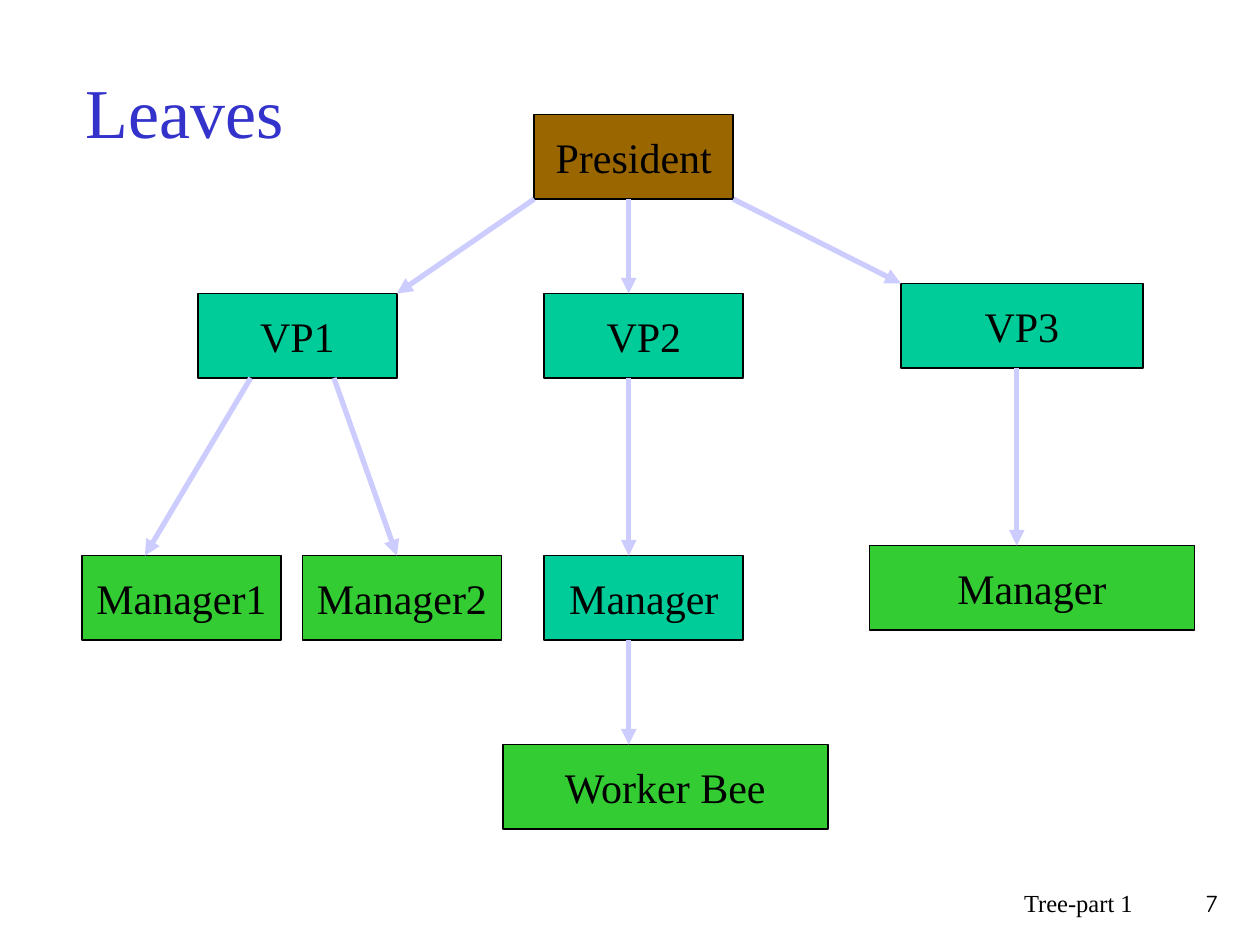
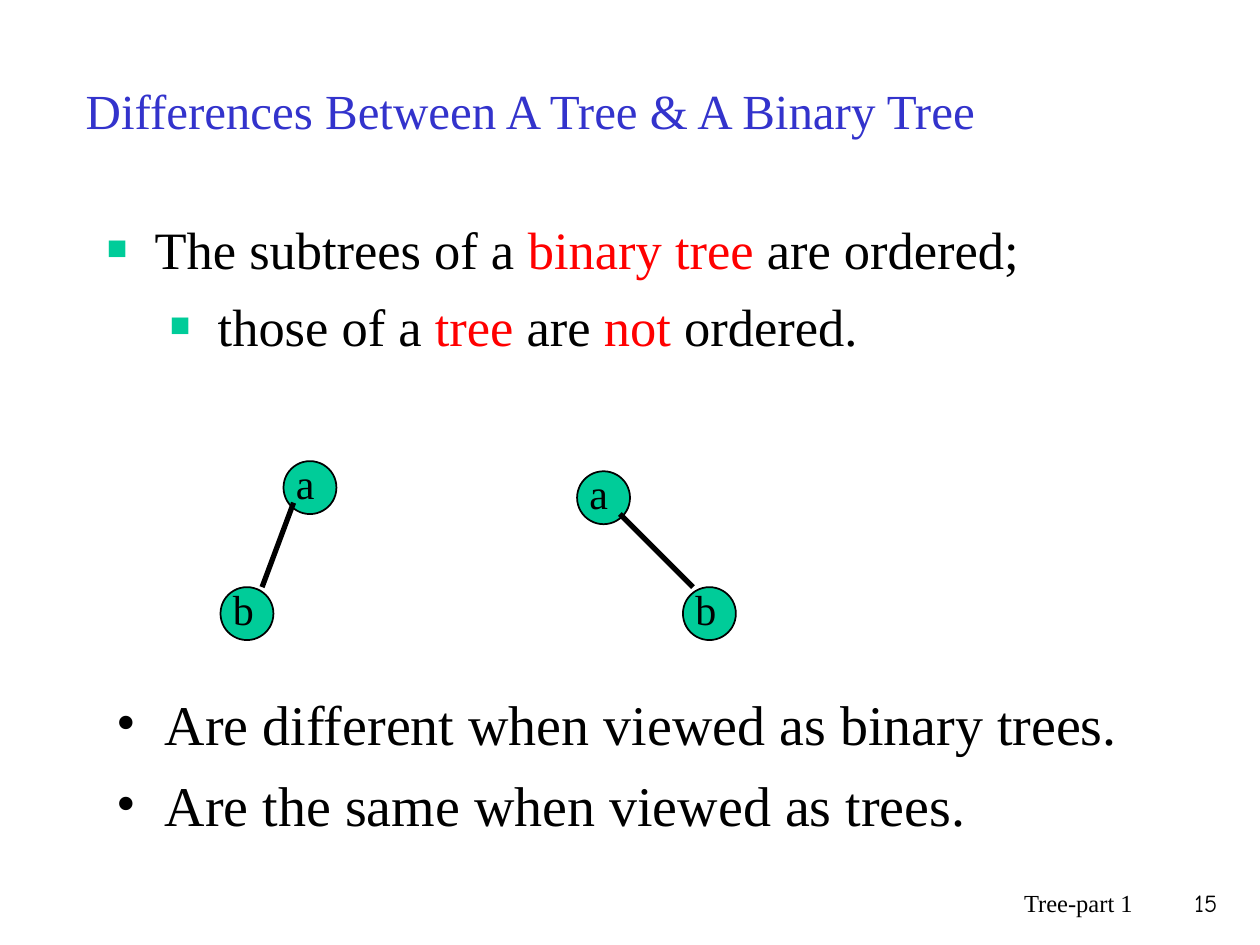
from dataclasses import dataclass
from typing import NamedTuple

from lxml.etree import SubElement
from pptx import Presentation
from pptx.dml.color import RGBColor
from pptx.enum.shapes import MSO_CONNECTOR, MSO_SHAPE
from pptx.enum.text import MSO_ANCHOR as Anchor, PP_ALIGN as Align
from pptx.oxml.ns import qn
from pptx.util import Inches, Pt

COLORS = {
    "title": "3333CC",
    "ink": "000000",
    "root": "996600",
    "branch": "00CC99",
    "leaf": "33CC33",
    "arrow": "CCCCFF",
    "emphasis": "FF0000",
}
SERIF = "Times New Roman"
NUMBER_FONT = "Comic Neue"
BOX_HEIGHT = 0.67
NODE_SIZE = 0.42
LABEL_RISE = 0.08
BULLET_INDENT = 0.38


@dataclass(frozen=True)
class Position:
    text: str
    left: float
    top: float
    color: str
    width: float = 1.58

    @property
    def bottom(self) -> float:
        return self.top + BOX_HEIGHT


class Report(NamedTuple):
    boss: str
    staff: str
    start_x: float
    end_x: float


class Span(NamedTuple):
    text: str
    color: str = "ink"


class Bullet(NamedTuple):
    spans: list[Span]
    level: int = 0


class BulletStyle(NamedTuple):
    char: str
    color: str
    percent: int
    size: float


class BinaryTree(NamedTuple):
    parent: tuple[float, float]
    child: tuple[float, float]
    edge_start: tuple[float, float]
    edge_end: tuple[float, float]


POSITIONS = {
    "president": Position("President", 4.24, 0.91, "root"),
    "vp1": Position("VP1", 1.57, 2.33, "branch"),
    "vp2": Position("VP2", 4.32, 2.33, "branch"),
    "vp3": Position("VP3", 7.15, 2.25, "branch", 1.92),
    "manager1": Position("Manager1", 0.65, 4.41, "leaf"),
    "manager2": Position("Manager2", 2.4, 4.41, "leaf"),
    "vp2_manager": Position("Manager", 4.32, 4.41, "branch"),
    "vp3_manager": Position("Manager", 6.9, 4.33, "leaf", 2.58),
    "worker": Position("Worker Bee", 3.99, 5.91, "leaf", 2.58),
}
REPORTS = [
    Report("president", "vp2", 4.99, 4.99),
    Report("president", "vp1", 4.24, 3.15),
    Report("president", "vp3", 5.82, 7.15),
    Report("vp1", "manager1", 1.99, 1.15),
    Report("vp1", "manager2", 2.65, 3.15),
    Report("vp2", "vp2_manager", 4.99, 4.99),
    Report("vp3", "vp3_manager", 8.07, 8.07),
    Report("vp2_manager", "worker", 4.99, 4.99),
]
ORDERING = [
    Bullet([Span("The subtrees of a "), Span("binary tree", "emphasis"), Span(" are ordered;")]),
    Bullet([Span("those of a "), Span("tree", "emphasis"), Span(" are"),
            Span(" not ", "emphasis"), Span("ordered.")], 1),
]
COMPARISON = [
    Bullet([Span("Are different when viewed as binary trees.")]),
    Bullet([Span("Are the same when viewed as trees.")]),
]
BINARY_TREES = [
    BinaryTree((2.25, 3.66), (1.75, 4.66), (2.33, 3.99), (2.08, 4.66)),
    BinaryTree((4.58, 3.74), (5.42, 4.66), (4.92, 4.08), (5.5, 4.66)),
]


def rgb(name: str) -> RGBColor:
    return RGBColor.from_string(COLORS[name])


def add_run(paragraph, text: str, size: float, color: str = "ink", font: str = SERIF) -> None:
    run = paragraph.add_run()
    run.text = text
    for attribute, value in {"name": font, "size": Pt(size)}.items():
        setattr(run.font, attribute, value)
    run.font.color.rgb = rgb(color)


def add_text(shapes, text: str, left: float, top: float, width: float, height: float,
             size: float, align: Align = Align.LEFT, font: str = SERIF) -> None:
    box = shapes.add_textbox(*map(Inches, (left, top, width, height)))
    box.text_frame.word_wrap = True
    paragraph = box.text_frame.paragraphs[0]
    paragraph.alignment = align
    add_run(paragraph, text, size, font=font)


def add_outlined(shapes, kind: MSO_SHAPE, left: float, top: float,
                 width: float, height: float, color: str):
    shape = shapes.add_shape(kind, *map(Inches, (left, top, width, height)))
    shape.shadow.inherit = False
    shape.fill.solid()
    shape.fill.fore_color.rgb = rgb(color)
    shape.line.color.rgb = rgb("ink")
    shape.line.width = Pt(1)
    return shape


def add_line(shapes, start: tuple[float, float], end: tuple[float, float],
             color: str, arrow: bool = False) -> None:
    line = shapes.add_connector(MSO_CONNECTOR.STRAIGHT, *map(Inches, (*start, *end)))
    line.line.color.rgb = rgb(color)
    line.line.width = Pt(3)
    if arrow:
        SubElement(line.line._get_or_add_ln(), qn("a:tailEnd"), type="triangle")
    SubElement(line._element.spPr, qn("a:effectLst"))


def add_position(shapes, position: Position) -> None:
    box = add_outlined(shapes, MSO_SHAPE.RECTANGLE, position.left, position.top,
                       position.width, BOX_HEIGHT, position.color)
    frame = box.text_frame
    for attribute, value in {"word_wrap": False, "vertical_anchor": Anchor.MIDDLE}.items():
        setattr(frame, attribute, value)
    frame.paragraphs[0].alignment = Align.CENTER
    add_run(frame.paragraphs[0], position.text, 24)


def add_binary_tree(shapes, tree: BinaryTree) -> None:
    group = shapes.add_group_shape().shapes
    nodes = {"a": tree.parent, "b": tree.child}
    for left, top in nodes.values():
        add_outlined(group, MSO_SHAPE.OVAL, left, top, NODE_SIZE, NODE_SIZE, "branch")
    add_line(group, tree.edge_start, tree.edge_end, "ink")
    for letter, (left, top) in nodes.items():
        add_text(group, letter, left, top - LABEL_RISE, 0.33, 0.5, 24)


def add_bullets(shapes, bullets: list[Bullet], left: float, top: float,
                style: BulletStyle) -> None:
    frame = shapes.add_textbox(*map(Inches, (left, top, 8.5, 1.33))).text_frame
    frame.word_wrap = True
    for index, bullet in enumerate(bullets):
        paragraph = frame.add_paragraph() if index else frame.paragraphs[0]
        paragraph.level = bullet.level
        properties = paragraph._p.get_or_add_pPr()
        properties.set("marL", str(Inches(BULLET_INDENT + 0.5 * bullet.level)))
        properties.set("indent", str(-Inches(BULLET_INDENT)))
        color = SubElement(properties, qn("a:buClr"))
        SubElement(color, qn("a:srgbClr"), val=COLORS[style.color])
        SubElement(properties, qn("a:buSzPct"), val=str(style.percent * 1000))
        SubElement(properties, qn("a:buFont"), typeface=SERIF)
        SubElement(properties, qn("a:buChar"), char=style.char)
        if index:
            paragraph.space_before = Pt(8)
        for span in bullet.spans:
            add_run(paragraph, span.text, style.size, span.color)


def add_titled_slide(deck, heading: str, size: float, number: int):
    slide = deck.slides.add_slide(deck.slide_layouts[5])
    title = slide.shapes.title
    frame_format = {"left": 0.58, "top": 0.25, "width": 8.5, "height": 1.25}
    for attribute, value in frame_format.items():
        setattr(title, attribute, Inches(value))
    title.text_frame.vertical_anchor = Anchor.MIDDLE
    paragraph = title.text_frame.paragraphs[0]
    paragraph.alignment = Align.LEFT
    add_run(paragraph, heading, size, "title")
    add_text(slide.shapes, "Tree-part 1", 5.92, 7, 3.17, 0.5, 14, Align.RIGHT)
    add_text(slide.shapes, str(number), 9.08, 7, 0.68, 0.5, 14, Align.RIGHT, NUMBER_FONT)
    return slide


def build_leaves(deck) -> None:
    shapes = add_titled_slide(deck, "Leaves", 40, 7).shapes
    for position in POSITIONS.values():
        add_position(shapes, position)
    for report in REPORTS:
        start = (report.start_x, POSITIONS[report.boss].bottom)
        end = (report.end_x, POSITIONS[report.staff].top)
        add_line(shapes, start, end, "arrow", arrow=True)


def build_differences(deck) -> None:
    shapes = add_titled_slide(deck, "Differences Between A Tree & A Binary Tree", 28, 15).shapes
    add_bullets(shapes, ORDERING, 0.75, 1.67, BulletStyle("■", "branch", 65, 30))
    for tree in BINARY_TREES:
        add_binary_tree(shapes, tree)
    add_bullets(shapes, COMPARISON, 0.83, 5.42, BulletStyle("•", "ink", 100, 32))


def main() -> None:
    deck = Presentation()
    deck.slide_width, deck.slide_height = Inches(10), Inches(7.5)
    build_leaves(deck)
    build_differences(deck)
    deck.save("out.pptx")


if __name__ == "__main__":
    main()
